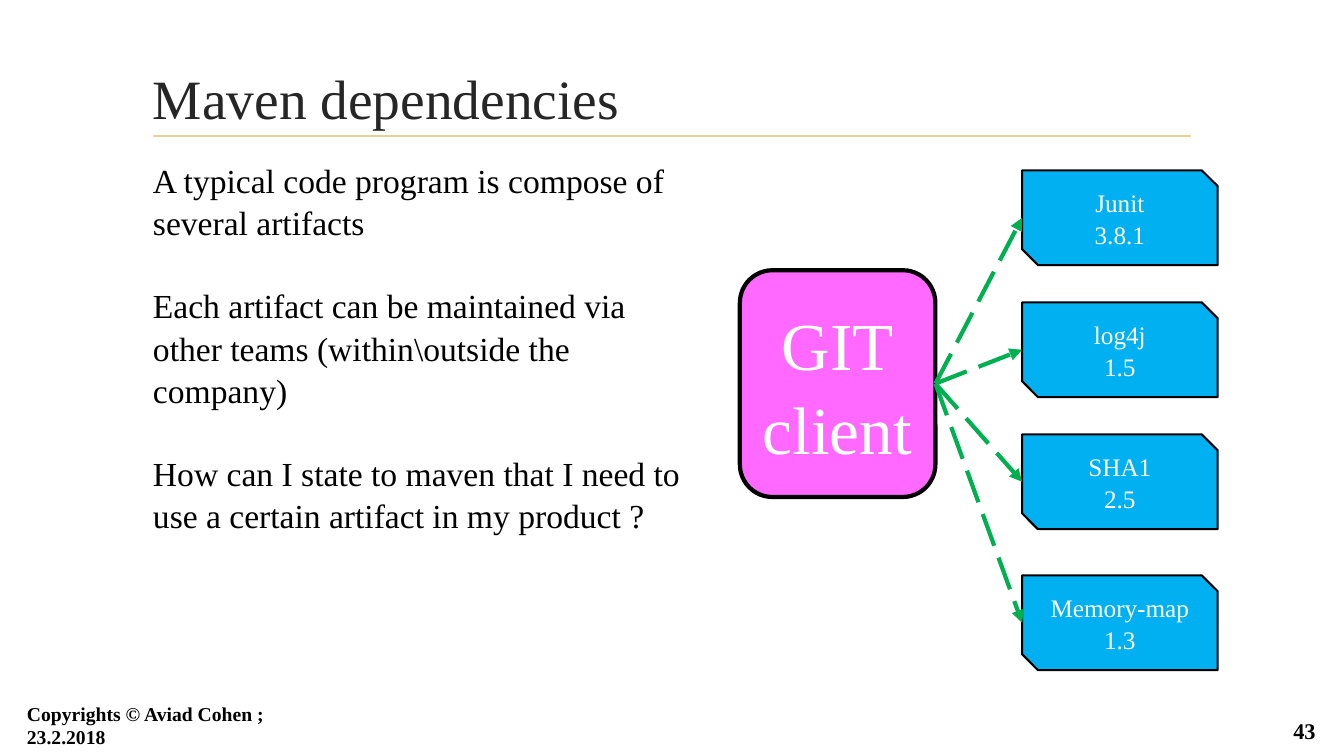
from lxml import etree
from pptx import Presentation
from pptx.dml.color import RGBColor
from pptx.enum.dml import MSO_LINE
from pptx.enum.shapes import MSO_CONNECTOR as CONN, MSO_SHAPE as SHAPE
from pptx.enum.text import MSO_ANCHOR as ANCHOR, PP_ALIGN as ALIGN
from pptx.oxml.ns import qn
from pptx.util import Pt

FONT = "Times New Roman"
BLACK, WHITE, GREEN = "000000", "FFFFFF", "00B050"
RIGHT_SIDE = 3

BODY = [
    "A typical code program is compose of several artifacts",
    "Each artifact can be maintained via other teams (within\\outside the company)",
    "How can I state to maven that I need to use a certain artifact in my product ?",
]
# Name, version and offset from the top of the diagram
ARTIFACTS = [
    ("Junit", "3.8.1", 0),
    ("log4j", "1.5", 94.3),
    ("SHA1", "2.5", 188.6),
    ("Memory-map", "1.3", 289.3),
]


def rgb(color):
    return RGBColor.from_string(color)


def write(s, lines, size, color, align=ALIGN.LEFT, anchor=ANCHOR.MIDDLE,
          bold=False, spacing=1.0, gap=0):
    tf = s.text_frame
    tf.word_wrap = True
    tf.vertical_anchor = anchor
    for i, line in enumerate(lines):
        p = tf.paragraphs[0] if i == 0 else tf.add_paragraph()
        p.text = line
        p.alignment = align
        p.line_spacing = spacing
        if i and gap:
            p.space_before = Pt(gap)
        p.font.name = FONT
        p.font.size = Pt(size)
        p.font.bold = bold
        p.font.color.rgb = rgb(color)


def add_text(slide, x, y, w, h, lines, size, color, **style):
    s = slide.shapes.add_textbox(Pt(x), Pt(y), Pt(w), Pt(h))
    write(s, lines, size, color, **style)


def add_node(slide, kind, x, y, w, h, lines, size, fill, border):
    s = slide.shapes.add_shape(kind, Pt(x), Pt(y), Pt(w), Pt(h))
    s.shadow.inherit = False
    s.fill.solid()
    s.fill.fore_color.rgb = rgb(fill)
    s.line.color.rgb = rgb(BLACK)
    s.line.width = Pt(border)
    write(s, lines, size, WHITE, align=ALIGN.CENTER, spacing=1.05)
    return s


def add_line(slide, x1, y1, x2, y2, color, width):
    s = slide.shapes.add_connector(CONN.STRAIGHT, Pt(x1), Pt(y1), Pt(x2), Pt(y2))
    s.line.color.rgb = rgb(color)
    s.line.width = Pt(width)
    etree.SubElement(s._element.spPr, qn("a:effectLst"))
    return s


def add_heading(slide, x, y, w, h):
    add_line(slide, x + 7.2, y + 48.2, x + w - 7.7, y + 48.2, "E8D191", 1.25)
    add_text(slide, x, y, w, h, ["Maven dependencies"], 39.6, "262626")


def add_footer(slide, x, y, w, h):
    number_w = 42.5
    add_text(slide, x, y, 240.5, h, ["Copyrights © Aviad Cohen ; 23.2.2018"],
             14, BLACK, bold=True)
    add_text(slide, x + w - number_w, y + 3.6, number_w, h, ["43"],
             16, BLACK, bold=True, align=ALIGN.RIGHT)


def add_diagram(slide, x, y, w):
    node_w, client_h, artifact_h = 139.7, 162, 67.7
    client_y = y + 71.3
    artifact_x = x + w - node_w

    # Artifact boxes
    for name, version, top in ARTIFACTS:
        add_node(slide, SHAPE.SNIP_2_DIAG_RECTANGLE, artifact_x, y + top,
                 node_w, artifact_h, [name, version], 18, "00B0F0", 1.5)

    # Client box
    client = add_node(slide, SHAPE.ROUNDED_RECTANGLE, x, client_y, node_w,
                      client_h, ["GIT", "client"], 48, "FF69FF", 3)

    # Dashed arrows from the client to each artifact
    for _, _, top in ARTIFACTS:
        s = add_line(slide, x + node_w, client_y + client_h / 2,
                     artifact_x, y + top + artifact_h / 2, GREEN, 3)
        s.begin_connect(client, RIGHT_SIDE)
        s.line.dash_style = MSO_LINE.LONG_DASH
        etree.SubElement(s.line._get_or_add_ln(), qn("a:tailEnd"), type="triangle")


def main():
    prs = Presentation()
    prs.slide_width, prs.slide_height = Pt(960), Pt(540)
    slide = prs.slides.add_slide(prs.slide_layouts[6])
    add_heading(slide, 102.2, 49, 756, 41)
    add_footer(slide, 12.2, 506.9, 934.6, 22.3)
    add_text(slide, 102.2, 109.4, 391, 269.3, BODY, 24, BLACK,
             anchor=ANCHOR.TOP, spacing=1.05, gap=28.9)
    add_diagram(slide, 528.5, 121.7, 341.3)
    prs.save("out.pptx")


if __name__ == "__main__":
    main()
